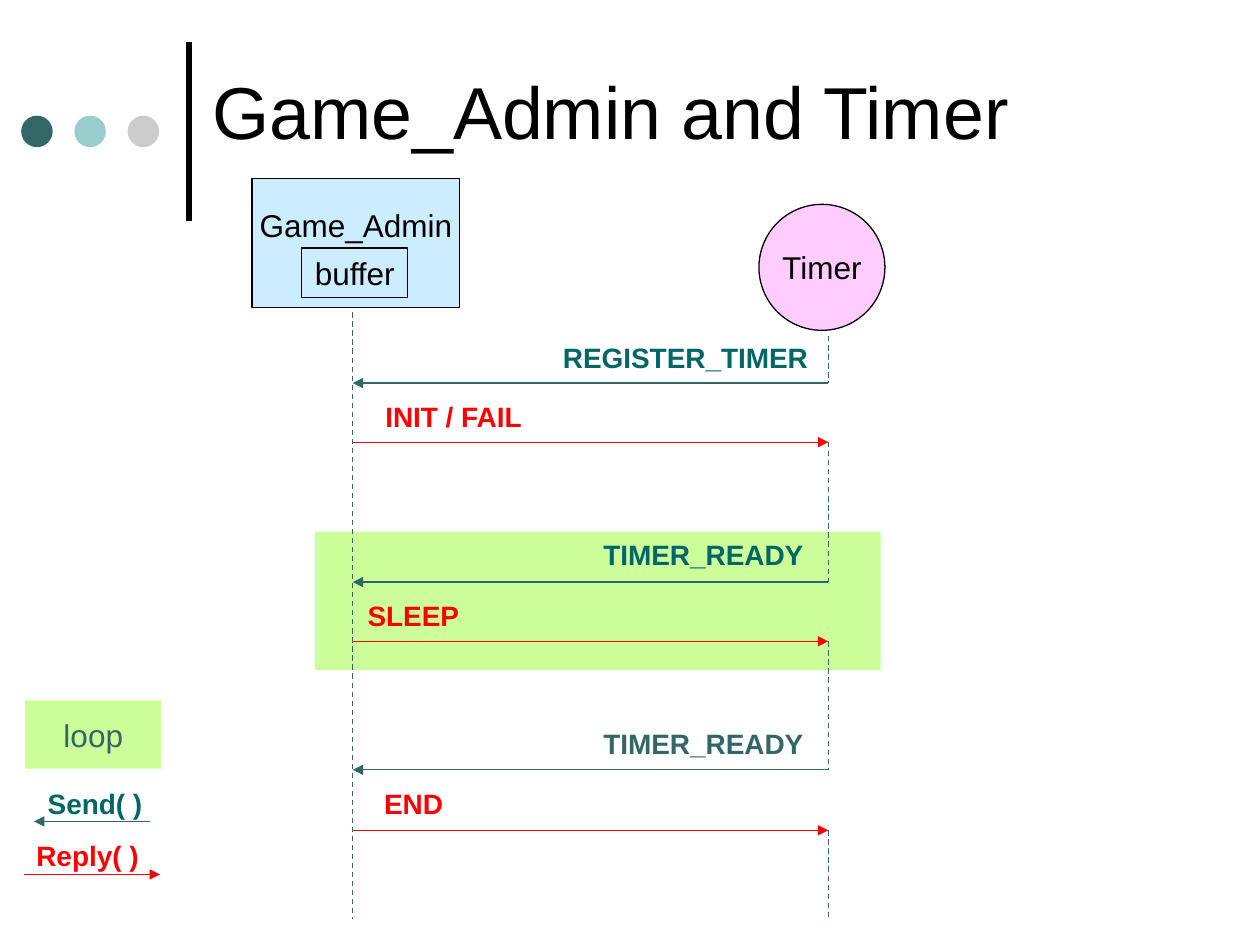
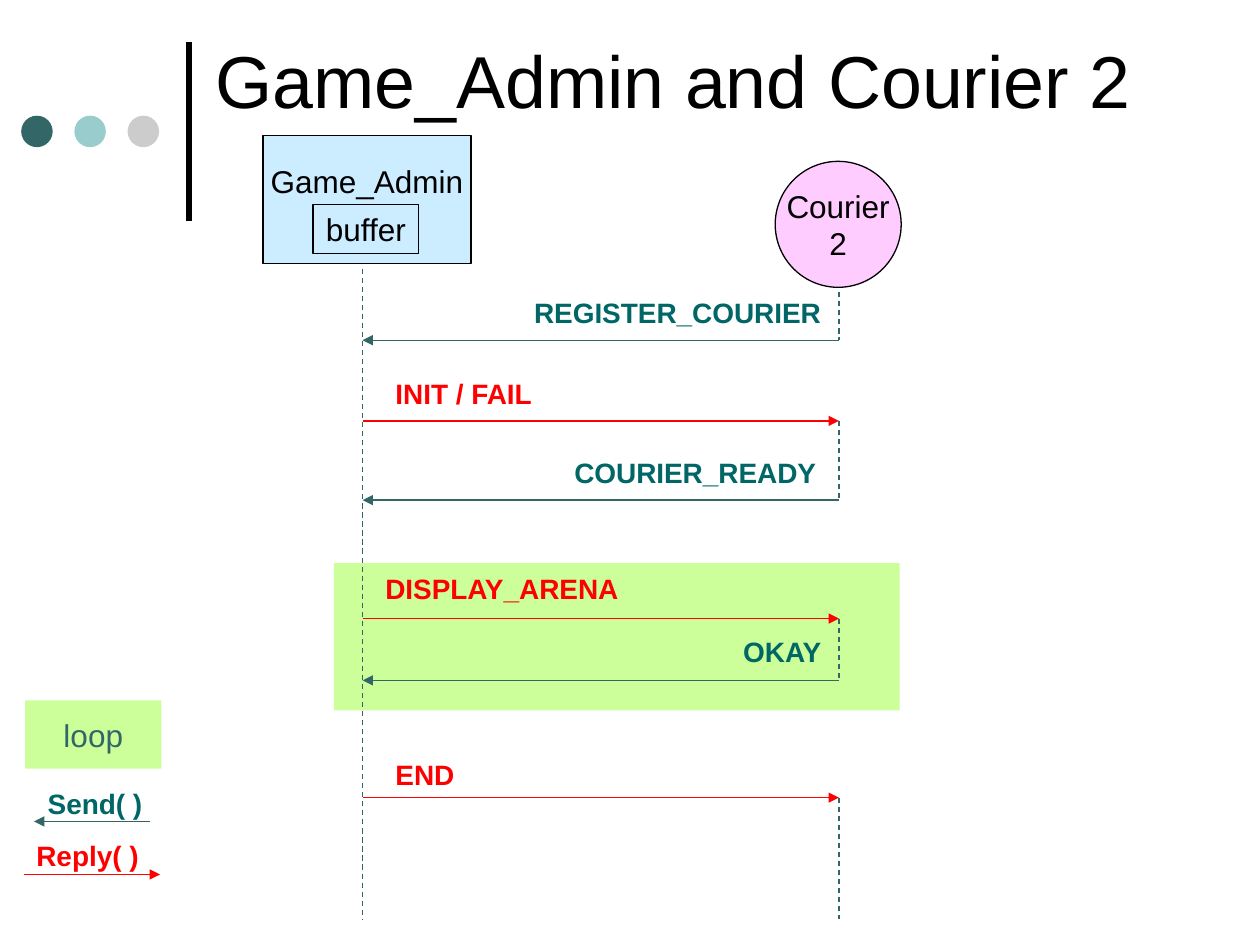
"""Build two sequence-diagram slides: Game_Admin with Timer and with Courier 2."""
from dataclasses import dataclass

from lxml.etree import SubElement
from pptx import Presentation
from pptx.dml.color import RGBColor
from pptx.enum.dml import MSO_LINE
from pptx.enum.shapes import MSO_CONNECTOR, MSO_SHAPE
from pptx.enum.text import MSO_ANCHOR, MSO_AUTO_SIZE, PP_ALIGN
from pptx.oxml.ns import qn
from pptx.util import Pt


@dataclass(frozen=True)
class Theme:
    font: str = "Arial"
    title_size: int = 42
    box_size: int = 18
    label_size: int = 16
    black: RGBColor = RGBColor(0x00, 0x00, 0x00)
    teal: RGBColor = RGBColor(0x33, 0x66, 0x66)
    aqua: RGBColor = RGBColor(0x99, 0xCC, 0xCC)
    grey: RGBColor = RGBColor(0xCC, 0xCC, 0xCC)
    send: RGBColor = RGBColor(0x00, 0x66, 0x66)
    reply: RGBColor = RGBColor(0xFF, 0x00, 0x00)
    loop: RGBColor = RGBColor(0xCC, 0xFF, 0x99)
    admin: RGBColor = RGBColor(0xCC, 0xEC, 0xFF)
    partner: RGBColor = RGBColor(0xFF, 0xCC, 0xFF)


T = Theme()
LIFELINE_END = 525
LABEL_SLACK = 2


def add_box(slide, kind, at, fill, border=None, text="", ink=T.black):
    sp = slide.shapes.add_shape(kind, *[Pt(v) for v in at])
    sp.shadow.inherit = False
    sp.fill.solid()
    sp.fill.fore_color.rgb = fill
    if border is None:
        sp.line.fill.background()
    else:
        sp.line.color.rgb = border
        sp.line.width = Pt(0.75)
    tf = sp.text_frame
    tf.text = text
    tf.word_wrap = False
    tf.vertical_anchor = MSO_ANCHOR.MIDDLE
    for p in tf.paragraphs:
        p.alignment = PP_ALIGN.CENTER
        for r in p.runs:
            r.font.name, r.font.size = T.font, Pt(T.box_size)
            r.font.color.rgb = ink
    return sp


def add_line(slide, x1, y1, x2, y2, color, width=0.75, dash=False, arrow=False):
    line = slide.shapes.add_connector(MSO_CONNECTOR.STRAIGHT, Pt(x1), Pt(y1), Pt(x2), Pt(y2))
    line.line.color.rgb = color
    line.line.width = Pt(width)
    if dash:
        line.line.dash_style = MSO_LINE.DASH
    if arrow:
        SubElement(line.line._get_or_add_ln(), qn("a:tailEnd"), type="triangle")
    SubElement(line.element.spPr, qn("a:effectLst"))
    return line


legend = [
    ("Send( )", T.send, 469.4, 85.7, 19.4, (20.2, 445.7, 68.4)),
    ("Reply( )", T.reply, 499.7, 13.7, 91.4, (13.7, 475.9, 72.7)),
]

diagrams = [
    {
        "title": "Game_Admin and Timer", "title_at": (114, 18),
        "admin_at": (144, 102.2), "admin_x": 201.6, "admin_y": 178.5,
        "partner": "Timer", "partner_at": (433.7, 116.8), "partner_x": 473.3, "partner_y": 192.2,
        "loop_at": (180, 303.8, 323.3, 79.2),
        "messages": [
            ("REGISTER_TIMER", T.send, 218.9, (314.6, 190.8, 154.1)),
            ("INIT / FAIL", T.reply, 252.7, (213.1, 224.6, 92.9)),
            ("TIMER_READY", T.send, 332.6, (337.7, 303.8, 128.9)),
            ("SLEEP", T.reply, 366.5, (203, 338.4, 66.2)),
            ("TIMER_READY", T.teal, 439.9, (337.7, 411.8, 128.9)),
            ("END", T.reply, 474.5, (212.4, 445.7, 48.2)),
        ],
    },
    {
        "title": "Game_Admin and Courier 2", "title_at": (115.9, 0),
        "admin_at": (150.3, 77.3), "admin_x": 207.2, "admin_y": 153.5,
        "partner": "Courier\n2", "partner_at": (443, 92.2), "partner_x": 479.4, "partner_y": 167,
        "loop_at": (190.8, 321.8, 323.3, 84.2),
        "messages": [
            ("REGISTER_COURIER", T.send, 194.4, (298.1, 165.6, 178.6)),
            ("INIT / FAIL", T.reply, 240.5, (218.9, 211.7, 92.9)),
            ("COURIER_READY", T.send, 285.8, (321.1, 257, 152.6)),
            ("DISPLAY_ARENA", T.reply, 353.5, (213.1, 323.3, 149)),
            ("OKAY", T.send, 388.8, (417.6, 359.3, 60.5)),
            ("END", T.reply, 455.8, (218.9, 429.1, 48.2)),
        ],
    },
]

prs = Presentation()
prs.slide_width, prs.slide_height = Pt(720), Pt(540)
layout = prs.slide_layouts[5]
slides = [prs.slides.add_slide(layout) for d in diagrams]

decor = [add_line(slides[0], 108, 126, 108, 24, T.black, width=3)]
for i, color in enumerate((T.teal, T.aqua, T.grey)):
    decor.append(add_box(slides[0], MSO_SHAPE.OVAL, (12.1 + 30.4 * i, 66.1, 18, 18), color))
for i, sp in enumerate(decor):
    sp.element.xpath(".//p:cNvPr")[0].set("id", str(20 + i))
    layout.shapes.element.append(sp.element)

for s, d in zip(slides, diagrams):
    title = s.shapes.title
    title.left, title.top = [Pt(v) for v in d["title_at"]]
    title.width, title.height = Pt(552.2), Pt(90)
    title.text_frame.text = d["title"]
    title.text_frame.vertical_anchor = MSO_ANCHOR.MIDDLE
    p = title.text_frame.paragraphs[0]
    p.alignment = PP_ALIGN.LEFT
    font = p.runs[0].font
    font.name, font.size = T.font, Pt(T.title_size)
    font.color.rgb = T.black

    add_box(s, MSO_SHAPE.RECTANGLE, d["loop_at"], T.loop)
    add_box(s, MSO_SHAPE.RECTANGLE, (14.4, 400.3, 77.8, 38.9), T.loop, text="loop", ink=T.teal)

    admin_x, partner_x = d["admin_x"], d["partner_x"]
    add_line(s, admin_x, d["admin_y"], admin_x, LIFELINE_END, T.teal, dash=True)
    replies = [y for _, ink, y, _ in d["messages"] if ink == T.reply]
    sends = [y for _, ink, y, _ in d["messages"] if ink != T.reply]
    for start, end in zip([d["partner_y"], *replies], [*sends, LIFELINE_END]):
        add_line(s, partner_x, start, partner_x, end, T.teal, dash=True)

    left, top = d["admin_at"]
    admin = add_box(s, MSO_SHAPE.RECTANGLE, (left, top, 118.8, 73.4), T.admin, T.black, "Game_Admin")
    admin.text_frame.margin_bottom = Pt(24.3)
    add_box(s, MSO_SHAPE.RECTANGLE, (left + 28.5, top + 39.6, 60.5, 28.1), T.admin, T.black, "buffer")
    add_box(s, MSO_SHAPE.OVAL, (*d["partner_at"], 72, 72), T.partner, T.black, d["partner"])

    arrows = list(legend)
    for text, ink, y, label_at in d["messages"]:
        ends = (admin_x, partner_x) if ink == T.reply else (partner_x, admin_x)
        arrows.append((text, ink, y, *ends, label_at))
    for text, ink, y, start, end, (left, top, width) in arrows:
        add_line(s, start, y, end, y, T.reply if ink == T.reply else T.teal, arrow=True)
        label = s.shapes.add_textbox(Pt(left), Pt(top), Pt(width + LABEL_SLACK), Pt(26.6))
        tf = label.text_frame
        tf.text = text
        tf.word_wrap = False
        tf.auto_size = MSO_AUTO_SIZE.SHAPE_TO_FIT_TEXT
        font = tf.paragraphs[0].runs[0].font
        font.name, font.size, font.bold = T.font, Pt(T.label_size), True
        font.color.rgb = ink

prs.save("out.pptx")
